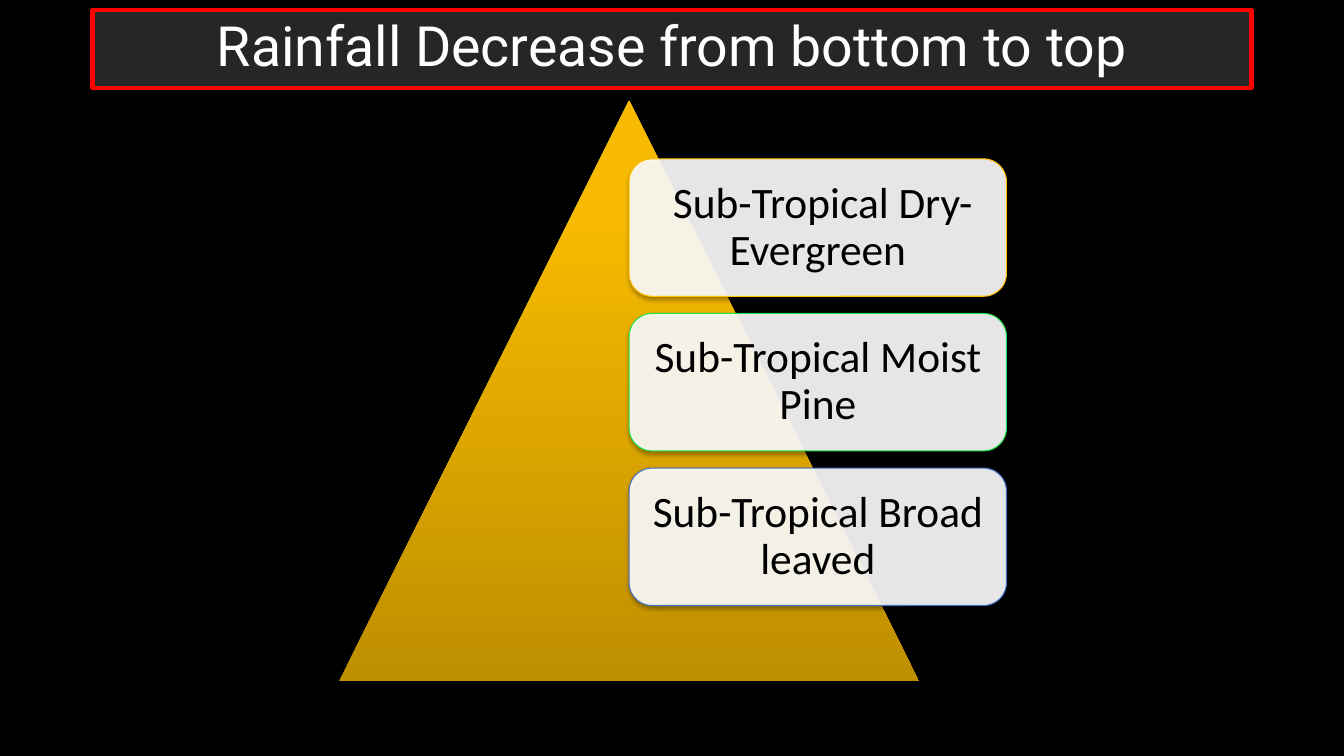
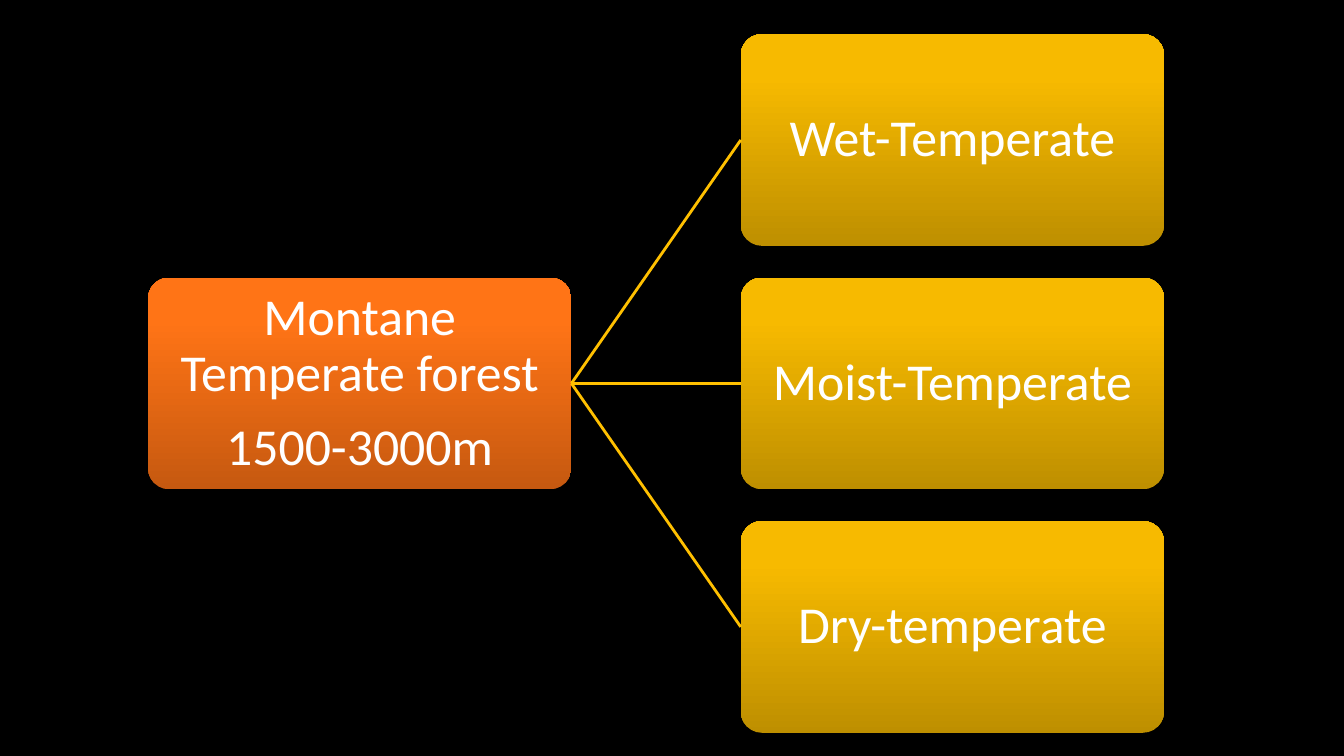
from pptx import Presentation
from pptx.dml.color import RGBColor
from pptx.enum.shapes import MSO_CONNECTOR, MSO_SHAPE
from pptx.enum.text import MSO_ANCHOR, PP_ALIGN
from pptx.oxml import parse_xml
from pptx.oxml.ns import nsdecls, qn
from pptx.util import Cm, Pt

BLACK, WHITE, CHARCOAL, RED = "000000", "FFFFFF", "262626", "FF0000"
GOLD, GREEN, BLUE = "FFC000", "23E148", "4472C4"
GOLD_FADE = ((0, "BE8F00"), (80, "F7BA00"), (100, "F8BB00"))
ORANGE_FADE = ((0, "C65910"), (80, "FF7416"), (100, "FF7517"))

TITLE_FONT = {"name": "Roboto", "size": Pt(39.6)}
CARD_FONT = {"name": "Calibri", "size": Pt(31)}
NODE_FONT = {"name": "Calibri", "size": Pt(37)}
PARAGRAPH = {"alignment": PP_ALIGN.CENTER, "line_spacing": 0.9}
SIDES = ("margin_left", "margin_top", "margin_right", "margin_bottom")


def color(code):
    return RGBColor.from_string(code)


def apply(target, values):
    for name, value in values.items():
        setattr(target, name, value)


def add_box(page, kind, left, top, width, height, fill, line=None, weight=0.75,
            corner=None):
    """Add a shape in centimetres; fill is a hex string or a list of gradient stops."""
    box = page.shapes.add_shape(kind, Cm(left), Cm(top), Cm(width), Cm(height))
    box.shadow.inherit = False
    if corner is not None:
        box.adjustments[0] = corner
    if isinstance(fill, str):
        box.fill.solid()
        box.fill.fore_color.rgb = color(fill)
    else:
        box.fill.gradient()
        box.fill.gradient_angle = 90
        stops = box.element.spPr.find(".//" + qn("a:gsLst"))
        stops.clear()
        for position, code in fill:
            stops.append(parse_xml(
                f'<a:gs {nsdecls("a")} pos="{position * 1000}">'
                f'<a:srgbClr val="{code}"/></a:gs>'))
    if line:
        box.line.color.rgb = color(line)
        box.line.width = Pt(weight)
    else:
        box.line.fill.background()
    return box


def add_shadow(box):
    effects = box.element.spPr.find(qn("a:effectLst"))
    effects.append(parse_xml(
        f'<a:outerShdw {nsdecls("a")} blurRad="{Pt(3.1)}" dist="{Pt(1.8)}" '
        f'dir="5400000" rotWithShape="0"><a:srgbClr val="{BLACK}">'
        '<a:alpha val="35000"/></a:srgbClr></a:outerShdw>'))


def set_opacity(box, percent):
    fill_color = box.element.spPr.find(qn("a:solidFill")).find(qn("a:srgbClr"))
    fill_color.append(parse_xml(
        f'<a:alpha {nsdecls("a")} val="{percent * 1000}"/>'))


def write(box, lines, font, text_color, inset, space_after=0):
    frame = box.text_frame
    apply(frame, {"word_wrap": True, "vertical_anchor": MSO_ANCHOR.MIDDLE})
    apply(frame, dict.fromkeys(SIDES, Cm(inset)))
    for index, line in enumerate(lines):
        para = frame.add_paragraph() if index else frame.paragraphs[0]
        apply(para, {**PARAGRAPH, "space_after": Pt(space_after)})
        span = para.add_run()
        span.text = line
        apply(span.font, font)
        span.font.color.rgb = color(text_color)


def add_page(deck):
    page = deck.slides.add_slide(deck.slide_layouts[6])
    page.background.fill.solid()
    page.background.fill.fore_color.rgb = color(BLACK)
    return page


def add_title(page, text, left, top, width, height):
    box = add_box(page, MSO_SHAPE.ROUNDED_RECTANGLE, left, top, width, height,
                  CHARCOAL, RED, 3, corner=0)
    write(box, [text], TITLE_FONT, WHITE, 0.13)


def add_pyramid(page, left, top, size, cards):
    """Triangle with a column of cards starting at its middle axis."""
    triangle = add_box(page, MSO_SHAPE.ISOSCELES_TRIANGLE, left, top, size, size,
                       GOLD_FADE)
    add_shadow(triangle)
    card_height = size * 0.2367
    pitch = card_height * 1.125
    for row, (text, outline) in enumerate(cards):
        card = add_box(page, MSO_SHAPE.ROUNDED_RECTANGLE, left + size / 2,
                       top + size * 0.1 + row * pitch, size * 0.65, card_height,
                       WHITE, outline)
        set_opacity(card, 90)
        add_shadow(card)
        write(card, [text], CARD_FONT, BLACK, 0.33)


def add_node(page, left, top, width, lines, fade):
    node = add_box(page, MSO_SHAPE.ROUNDED_RECTANGLE, left, top, width, width / 2,
                   fade, corner=0.1)
    add_shadow(node)
    write(node, lines, NODE_FONT, WHITE, 0.08, space_after=13)
    return node


def add_branch(page, start, end):
    branch = page.shapes.add_connector(MSO_CONNECTOR.STRAIGHT, 0, 0, 0, 0)
    branch.begin_connect(start, 3)
    branch.end_connect(end, 1)
    branch.line.color.rgb = color(GOLD)
    branch.line.width = Pt(2)
    branch.element.spPr.append(parse_xml(f'<a:effectLst {nsdecls("a")}/>'))


def add_tree(page, left, top, node_width, root_lines, leaves):
    """Root node on the left, centred on a column of leaf nodes."""
    pitch = node_width / 2 * 1.15
    root_top = top + pitch * (len(leaves) - 1) / 2
    root = add_node(page, left, root_top, node_width, root_lines, ORANGE_FADE)
    for row, text in enumerate(leaves):
        leaf = add_node(page, left + node_width * 1.4, top + row * pitch,
                        node_width, [text], GOLD_FADE)
        add_branch(page, root, leaf)


def main():
    deck = Presentation()
    deck.slide_width, deck.slide_height = Cm(33.87), Cm(19.05)

    # Rainfall pyramid
    page = add_page(deck)
    add_pyramid(page, 8.54, 2.54, 14.63, [
        (" Sub-Tropical Dry-Evergreen", GOLD),
        ("Sub-Tropical Moist Pine", GREEN),
        ("Sub-Tropical Broad leaved", BLUE),
    ])
    add_title(page, "Rainfall Decrease from bottom to top", 2.33, 0.25, 29.21, 1.96)

    # Montane forest tree
    add_tree(add_page(deck), 3.73, 0.86, 10.67,
             ["Montane Temperate forest", "1500-3000m"],
             ["Wet-Temperate", "Moist-Temperate", "Dry-temperate"])

    deck.save("out.pptx")


if __name__ == "__main__":
    main()
